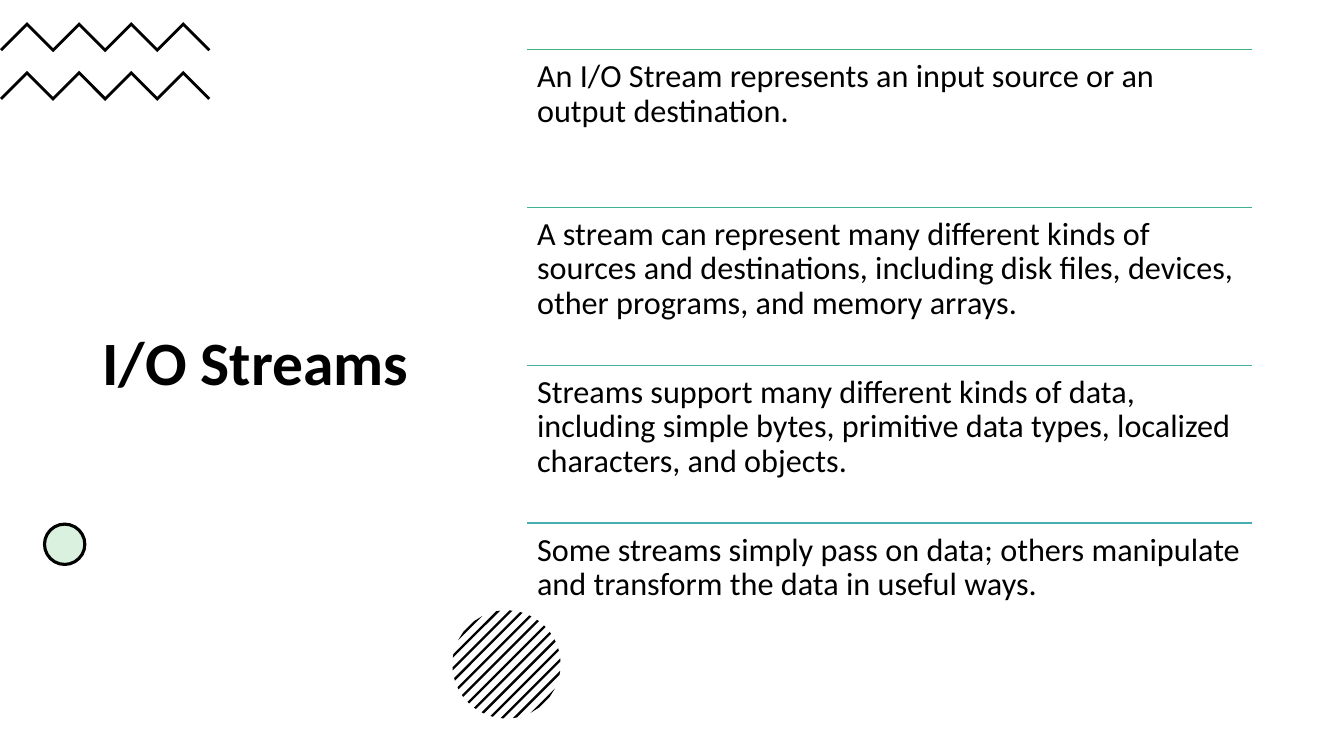
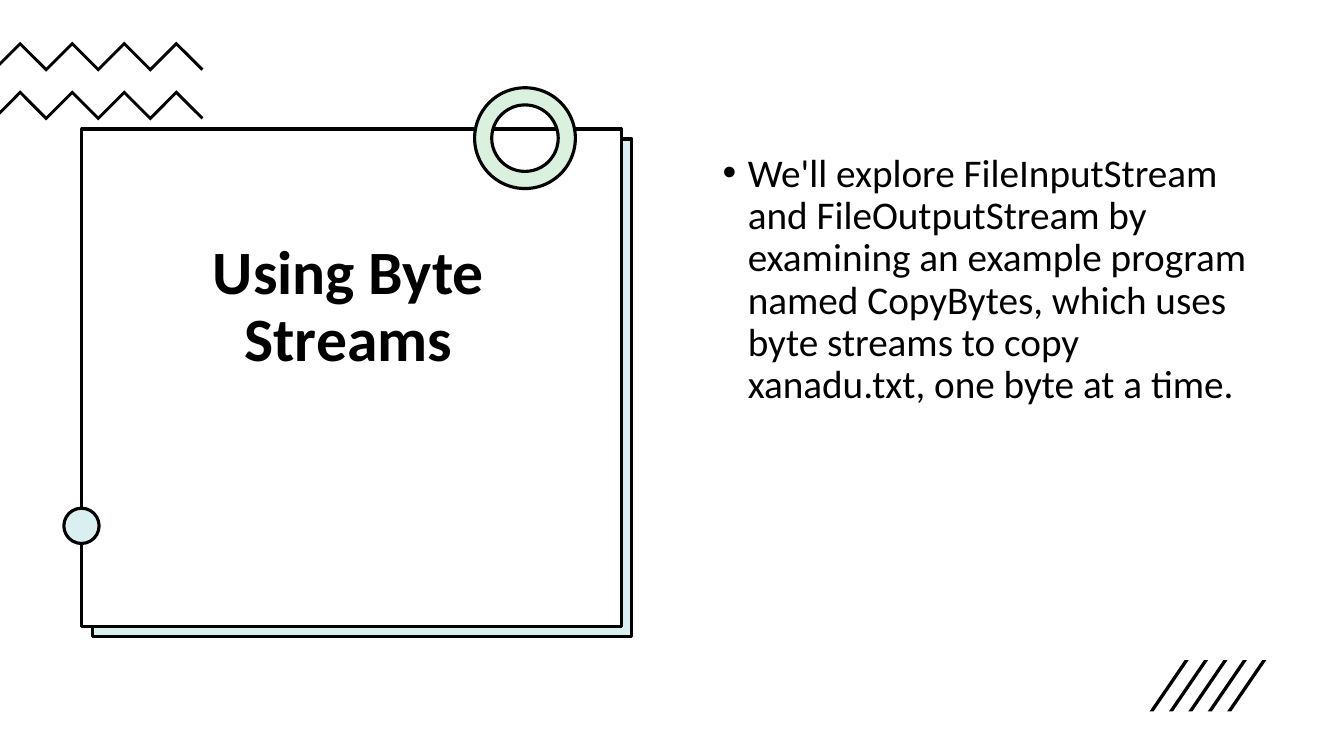
from math import sqrt

from lxml.etree import SubElement
from pptx import Presentation
from pptx.dml.color import RGBColor
from pptx.enum.shapes import MSO_CONNECTOR as Connector, MSO_SHAPE as Shape
from pptx.enum.text import MSO_ANCHOR as Anchor, PP_ALIGN as Align
from pptx.oxml.ns import qn
from pptx.util import Inches, Pt

BLACK = RGBColor(0x00, 0x00, 0x00)
WHITE = RGBColor(0xFF, 0xFF, 0xFF)
PALE_GREEN = RGBColor(0xDA, 0xF1, 0xDF)
PALE_TEAL = RGBColor(0xDA, 0xEF, 0xEF)
RULE_COLORS = (
    RGBColor(0x3B, 0xB1, 0x83),
    RGBColor(0x3E, 0xB1, 0x94),
    RGBColor(0x42, 0xB1, 0xA4),
    RGBColor(0x45, 0xAF, 0xB1),
)

COLUMNS, ROWS = 160, 90
FONT = "Calibri"
TITLE_SIZE = 44
OUTLINE = 2.25

STREAM_FACTS = (
    "An I/O Stream represents an input source or an output destination.",
    "A stream can represent many different kinds of sources and destinations, "
    "including disk files, devices, other programs, and memory arrays.",
    "Streams support many different kinds of data, including simple bytes, "
    "primitive data types, localized characters, and objects.",
    "Some streams simply pass on data; others manipulate and transform the data "
    "in useful ways.",
)


class Deck:
    """Draw styled elements on the current slide, placed in grid columns and rows."""

    def __init__(self):
        self.presentation = Presentation()
        self.presentation.slide_width = Inches(13.33)
        self.presentation.slide_height = Inches(7.5)
        self.slide = None

    def new_slide(self):
        layout = self.presentation.slide_layouts[6]
        self.slide = self.presentation.slides.add_slide(layout)
        self.slide.background.fill.solid()
        self.slide.background.fill.fore_color.rgb = WHITE

    def across(self, columns):
        return round(self.presentation.slide_width * columns / COLUMNS)

    def down(self, rows):
        return round(self.presentation.slide_height * rows / ROWS)

    def frame(self, left, top, width, height):
        return self.across(left), self.down(top), self.across(width), self.down(height)

    def text(self, text, box, *, size, bold=False, align=Align.LEFT, anchor=Anchor.TOP,
             pad_top=0.6, pad_bottom=0.6, bullet=False):
        text_frame = self.slide.shapes.add_textbox(*self.frame(*box)).text_frame
        text_frame.word_wrap = True
        text_frame.vertical_anchor = anchor
        text_frame.margin_top = self.down(pad_top)
        text_frame.margin_bottom = self.down(pad_bottom)
        paragraph = text_frame.paragraphs[0]
        if bullet:
            properties = paragraph._p.get_or_add_pPr()
            properties.set("marL", str(Inches(0.5)))
            properties.set("indent", str(Inches(-0.25)))
            SubElement(properties, qn("a:buFont")).set("typeface", "Arial")
            SubElement(properties, qn("a:buChar")).set("char", "•")
        paragraph.alignment = align
        paragraph.line_spacing = 0.9
        run = paragraph.add_run()
        run.text = text
        run.font.name = FONT
        run.font.size = Pt(size)
        run.font.bold = bold
        run.font.color.rgb = BLACK

    def title(self, text, box, **options):
        self.text(text, box, size=TITLE_SIZE, bold=True, anchor=Anchor.MIDDLE, **options)

    def outlined(self, kind, box, fill):
        shape = self.slide.shapes.add_shape(kind, *self.frame(*box))
        shape.shadow.inherit = False
        shape.fill.solid()
        shape.fill.fore_color.rgb = fill
        shape.line.color.rgb = BLACK
        shape.line.width = Pt(OUTLINE)
        return shape

    def rule(self, left, right, top, color):
        line = self.slide.shapes.add_connector(
            Connector.STRAIGHT, self.across(left), self.down(top),
            self.across(right), self.down(top))
        line.line.color.rgb = color
        line.line.width = Pt(1)
        SubElement(line._element.spPr, qn("a:effectLst"))

    def polygon(self, points):
        corners = [(self.across(x), self.down(y)) for x, y in points]
        builder = self.slide.shapes.build_freeform(*corners[0])
        builder.add_line_segments(corners[1:], close=True)
        shape = builder.convert_to_shape()
        shape.shadow.inherit = False
        shape.fill.solid()
        shape.fill.fore_color.rgb = BLACK
        shape.line.fill.background()

    def zigzag(self, peak_x, peak_y, step=3.1, half=0.24):
        reach = min(step, peak_x)
        lean = half / 2 if peak_x > step else 0
        start = (peak_x - reach, peak_y + reach)
        end = (peak_x + 7 * step, peak_y + step)
        bends = [(peak_x + i * step, peak_y + i % 2 * step) for i in range(7)]
        upper = [(start[0] - lean, start[1] - half + lean)]
        upper += [(x, y - half) for x, y in bends]
        upper.append((end[0] + half / 2, end[1] - half / 2))
        lower = [(start[0] + lean, start[1] + half - lean)]
        lower += [(x, y + half) for x, y in bends]
        lower.append((end[0] - half / 2, end[1] + half / 2))
        self.polygon(upper + lower[::-1])

    def zigzag_pair(self, peak_x, peak_y):
        for row in range(2):
            self.zigzag(peak_x, peak_y + row * 5.8)

    def hatched_disc(self, center_x, center_y, radius, pitch=1.04, half=0.14):
        def chord(offset):
            reach = sqrt(radius ** 2 - offset ** 2)
            return [(center_x + (offset + side * reach) / sqrt(2),
                     center_y + (offset - side * reach) / sqrt(2)) for side in (-1, 1)]

        for stripe in range(-6, 7):
            offset = stripe * pitch
            self.polygon(chord(offset - half) + chord(offset + half)[::-1])

    def slashes(self, left, top, width, height, count=5, pitch=2.31, thickness=0.48):
        for i in range(count):
            x = left + i * pitch
            self.polygon([(x, top + height), (x + width - thickness, top),
                          (x + width, top), (x + thickness, top + height)])


def streams_slide(deck):
    deck.new_slide()
    deck.title("I/O Streams", (11, 15.75, 42, 55.5))
    deck.zigzag_pair(3.22, 2.88)
    deck.outlined(Shape.OVAL, (5.3, 62.4, 4.8, 4.8), PALE_GREEN)
    deck.hatched_disc(60.3, 79.1, 6.44)
    left, top, width, pitch = 62.76, 5.88, 86.28, 18.8
    for i, (fact, color) in enumerate(zip(STREAM_FACTS, RULE_COLORS)):
        row_top = top + i * pitch
        deck.rule(left, left + width, row_top, color)
        deck.text(fact, (left, row_top, width, pitch), size=23,
                  pad_top=1.2, pad_bottom=1.2)


def byte_streams_slide(deck):
    deck.new_slide()
    deck.zigzag_pair(2.4, 5.2)
    deck.outlined(Shape.RECTANGLE, (11, 16.55, 64.2, 59.2), PALE_TEAL)
    deck.outlined(Shape.RECTANGLE, (9.75, 15.35, 64.2, 59.2), WHITE)
    deck.title("Using Byte Streams", (14.5, 16.55, 54, 56.4),
               align=Align.CENTER, pad_bottom=16.7)
    ring = deck.outlined(Shape.DONUT, (56.5, 10.45, 12, 12), PALE_GREEN)
    ring.adjustments[0] = 0.17
    deck.outlined(Shape.OVAL, (7.6, 60.5, 4.2, 4.2), PALE_TEAL)
    deck.text("We'll explore FileInputStream and FileOutputStream by examining an "
              "example program named CopyBytes, which uses byte streams to copy "
              "xanadu.txt, one byte at a time.",
              (81.85, 17.65, 68.5, 57.1), size=28, bullet=True)
    deck.slashes(136.85, 78.6, 4.65, 6.1)


def main():
    deck = Deck()
    streams_slide(deck)
    byte_streams_slide(deck)
    deck.presentation.save("out.pptx")


if __name__ == "__main__":
    main()
